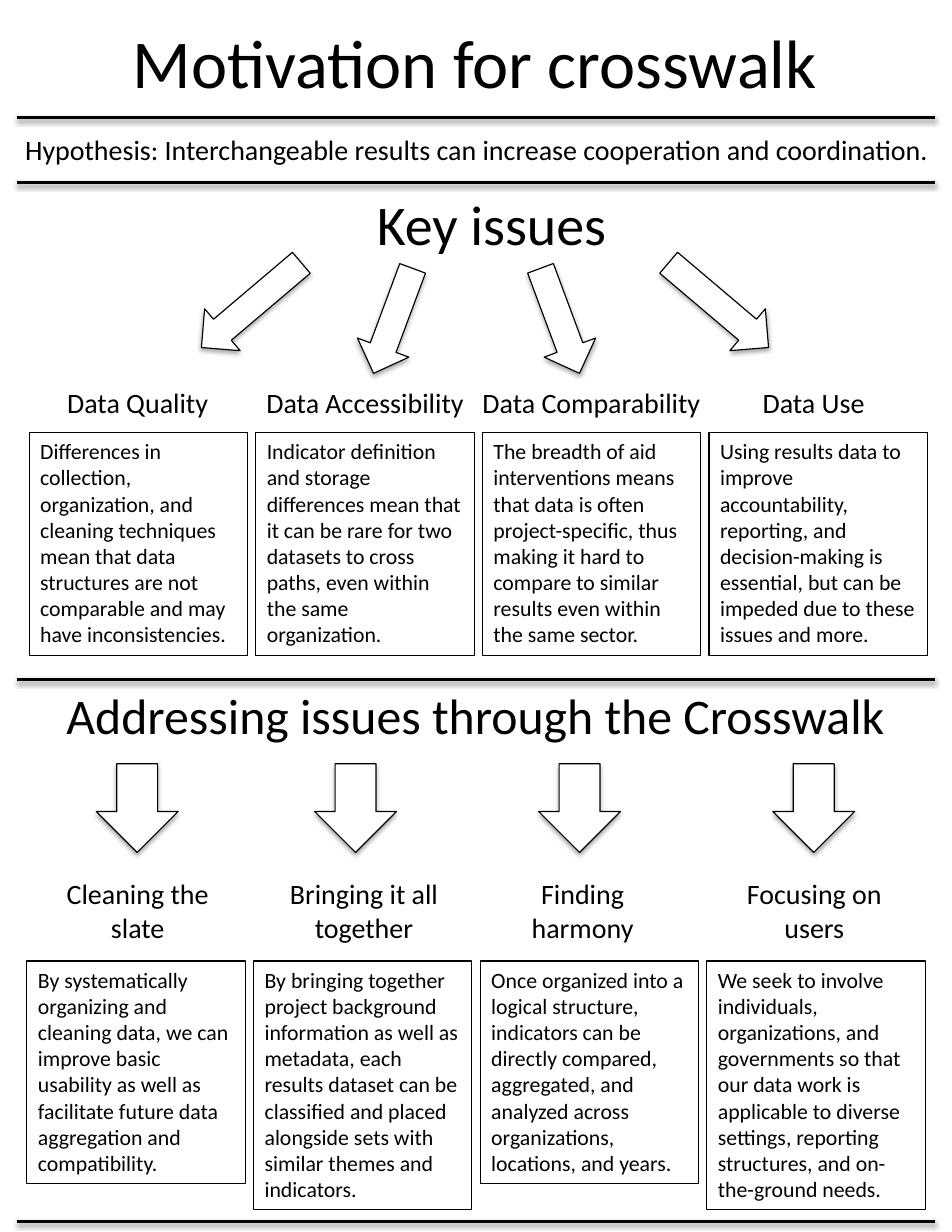
from pptx import Presentation
from pptx.dml.color import RGBColor
from pptx.enum import shapes, text
from pptx.oxml import parse_xml
from pptx.oxml.ns import nsdecls
from pptx.util import Pt

BLACK = RGBColor(0, 0, 0)
WHITE = RGBColor(255, 255, 255)

deck = Presentation()
deck.slide_width, deck.slide_height = Pt(612), Pt(792)
slide = deck.slides.add_slide(deck.slide_layouts[5])
items = slide.shapes


def write(shape, words, size=18, align=text.PP_ALIGN.CENTER,
          anchor=text.MSO_ANCHOR.TOP, wrap=True, fit=text.MSO_AUTO_SIZE.NONE):
    frame = shape.text_frame
    frame.text = words
    frame.word_wrap = wrap
    frame.auto_size = fit
    frame.vertical_anchor = anchor
    para = frame.paragraphs[0]
    para.alignment = align
    font = para.runs[0].font
    font.name, font.size = "Calibri", Pt(size)
    font.color.rgb = BLACK


def shade(shape, dist, alpha):
    shape._element.spPr.append(parse_xml(
        f'<a:effectLst {nsdecls("a")}><a:outerShdw blurRad="40000" dist="{dist}" '
        f'dir="5400000" rotWithShape="0"><a:srgbClr val="000000">'
        f'<a:alpha val="{alpha}"/></a:srgbClr></a:outerShdw></a:effectLst>'))


title = items.title
title.left, title.top, title.width, title.height = Pt(30), Pt(9), Pt(551), Pt(60)
write(title, "Motivation for crosswalk", size=44, anchor=text.MSO_ANCHOR.MIDDLE)

hypo = items.add_textbox(Pt(5), Pt(81.5), Pt(603), Pt(29))
write(hypo, "Hypothesis: Interchangeable results can increase cooperation and coordination.",
      wrap=False, fit=text.MSO_AUTO_SIZE.SHAPE_TO_FIT_TEXT)

for words, x, y, wide, size in [
    ("Key issues", 224, 119.5, 184, 36),
    ("Addressing issues through the Crosswalk", 10.8, 435.5, 590.4, 32),
]:
    head = items.add_textbox(Pt(x), Pt(y), Pt(wide), Pt(47.5))
    write(head, words, size=size, anchor=text.MSO_ANCHOR.MIDDLE)

arrows = [
    (161.6, 196.2, 84.2, 35.3, 139.7),
    (252.7, 206.3, 72, 35.3, 110.4),
    (360, 206.3, 72, 35.3, 69.6),
    (462, 196.2, 84.2, 35.3, 40.3),
]
arrows += [(mid, 519.5, 57, 52.6, 90) for mid in (88.2, 228.6, 372.6, 523.1)]
for x, y, wide, high, turn in arrows:
    arrow = items.add_shape(shapes.MSO_SHAPE.RIGHT_ARROW, Pt(x - wide / 2),
                            Pt(y - high / 2), Pt(wide), Pt(high))
    arrow.rotation = turn
    arrow.fill.solid()
    arrow.fill.fore_color.rgb = WHITE
    arrow.line.color.rgb = BLACK
    arrow.line.width = Pt(0.75)
    shade(arrow, 23000, 35000)

labels = [
    ("Data Quality", 23, 244, 131, 29),
    ("Data Accessibility", 163.2, 244, 143, 29),
    ("Data Comparability", 302.2, 244, 156, 29),
    ("Data Use", 470, 244, 106, 29),
    ("Cleaning the slate", 23, 560.2, 131, 51),
    ("Bringing it all together", 168.5, 560.2, 131, 51),
    ("Finding harmony", 309, 560.2, 131, 51),
    ("Focusing on users", 458, 560.2, 131, 51),
]
for words, x, y, wide, high in labels:
    label = items.add_textbox(Pt(x), Pt(y), Pt(wide), Pt(high))
    write(label, words, fit=text.MSO_AUTO_SIZE.SHAPE_TO_FIT_TEXT)

rows = [
    (18.7, 278, [
        (143.3, "Differences in collection, organization, and cleaning techniques mean that data "
         "structures are not comparable and may have inconsistencies."),
        (143.3, "Indicator definition and storage differences mean that it can be rare for two "
         "datasets to cross paths, even within the same organization."),
        (143.3, "The breadth of aid interventions means that data is often project-specific, thus "
         "making it hard to compare to similar results even within the same sector."),
        (143.3, "Using results data to improve accountability, reporting, and decision-making is "
         "essential, but can be impeded due to these issues and more."),
    ]),
    (17.3, 617.8, [
        (143.3, "By systematically organizing and cleaning data, we can improve basic usability as "
         "well as facilitate future data aggregation and compatibility."),
        (159.8, "By bringing together project background information as well as metadata, each "
         "results dataset can be classified and placed alongside sets with similar themes and "
         "indicators."),
        (143.3, "Once organized into a logical structure, indicators can be directly compared, "
         "aggregated, and analyzed across organizations, locations, and years."),
        (159.8, "We seek to involve individuals, organizations, and governments so that our data "
         "work is applicable to diverse settings, reporting structures, and on-the-ground needs."),
    ]),
]
for left, top, cells in rows:
    for i, (high, words) in enumerate(cells):
        box = items.add_shape(shapes.MSO_SHAPE.RECTANGLE, Pt(left + 145.7 * i), Pt(top),
                              Pt(140.4), Pt(high))
        box.shadow.inherit = False
        box.fill.solid()
        box.fill.fore_color.rgb = WHITE
        box.line.color.rgb = BLACK
        box.line.width = Pt(0.75)
        write(box, words, size=14, align=text.PP_ALIGN.LEFT,
              fit=text.MSO_AUTO_SIZE.SHAPE_TO_FIT_TEXT)

for y in (75.6, 117.4, 437, 785.5):
    rule = items.add_connector(shapes.MSO_CONNECTOR.STRAIGHT, Pt(10.8), Pt(y), Pt(601.2), Pt(y))
    rule.line.color.rgb = BLACK
    rule.line.width = Pt(2)
    shade(rule, 20000, 38000)

deck.save("out.pptx")
